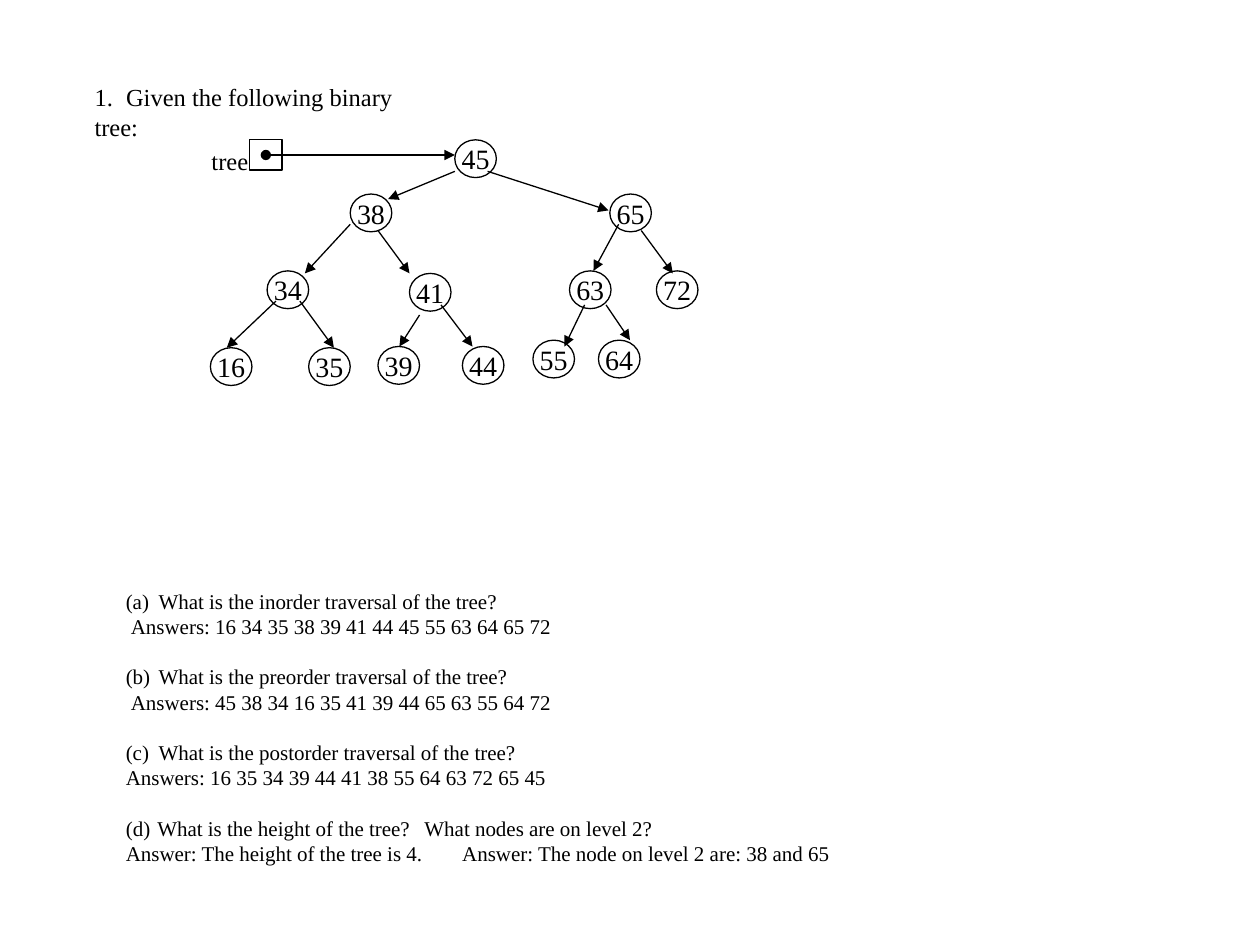
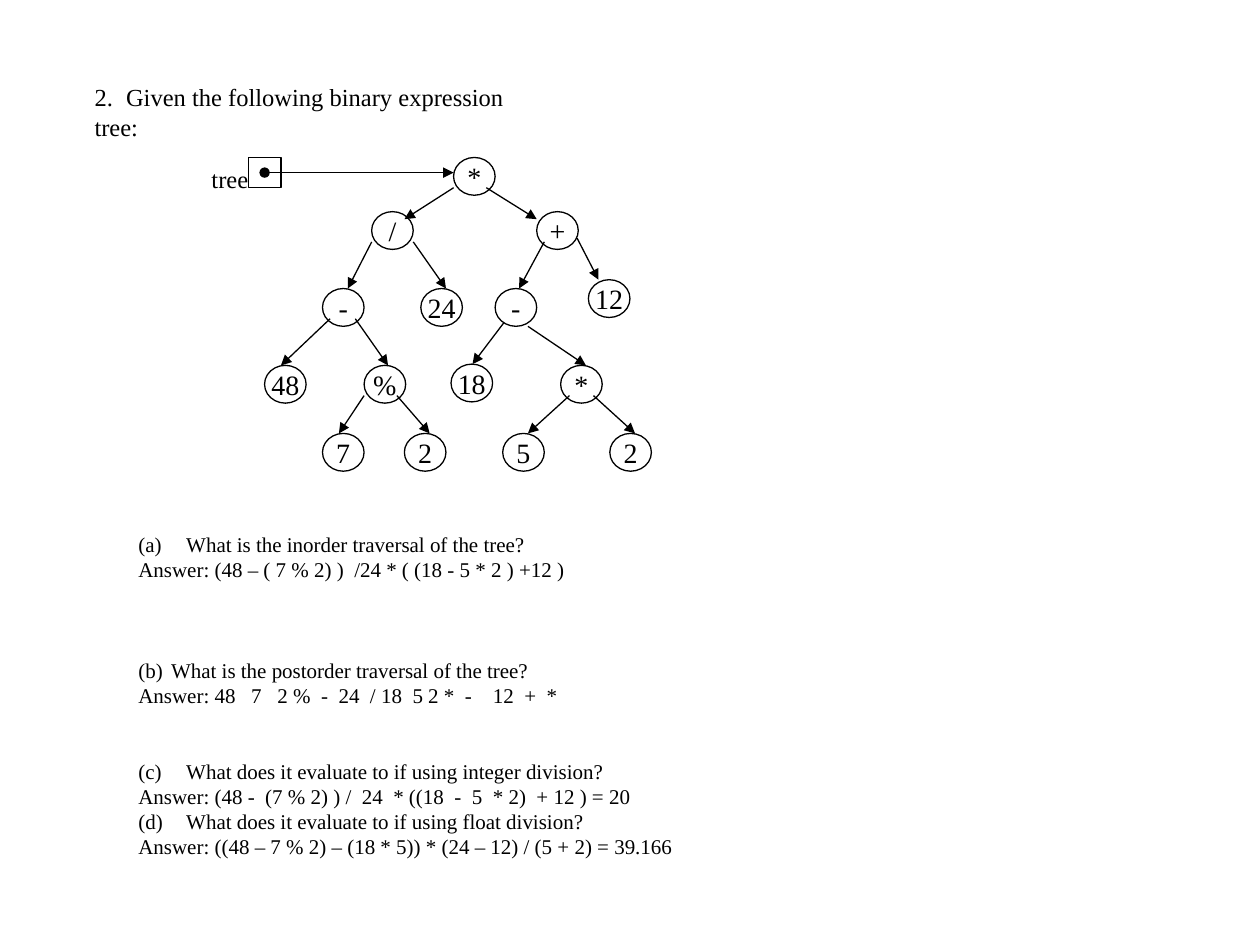
"""Build two slides of binary tree exercises with their answers."""
from lxml import etree
from pptx import Presentation
from pptx.dml.color import RGBColor
from pptx.enum.shapes import MSO_CONNECTOR, MSO_SHAPE
from pptx.enum.text import MSO_ANCHOR, PP_ALIGN
from pptx.oxml.ns import qn
from pptx.util import Inches, Pt

OVAL, RECTANGLE = MSO_SHAPE.OVAL, MSO_SHAPE.RECTANGLE
STRAIGHT = MSO_CONNECTOR.STRAIGHT
TOP, MIDDLE = MSO_ANCHOR.TOP, MSO_ANCHOR.MIDDLE
LEFT, CENTER = PP_ALIGN.LEFT, PP_ALIGN.CENTER

BLACK = RGBColor(0x00, 0x00, 0x00)
FONT = "Times New Roman"
LINE_WIDTH = Pt(0.75)
NODE_WIDTH, NODE_HEIGHT = 0.33, 0.3
BOX_WIDTH, BOX_HEIGHT = 0.26, 0.24
BODY_PITCH, TITLE_PITCH = 14.4, 17.1
TITLE_ONLY = 5


def write(frame, text, size=12, align=LEFT, pitch=None, blank_lines=0,
          left=0, number=None, tabs=()):
    """Add one formatted paragraph, filling the first one if it is empty."""
    paragraph = frame.paragraphs[0]
    if paragraph.runs:
        paragraph = frame.add_paragraph()
    run = paragraph.add_run()
    run.text = text
    run.font.size = Pt(size)
    run.font.name = FONT
    run.font.color.rgb = BLACK
    paragraph.alignment = align
    if pitch:
        paragraph.line_spacing = Pt(pitch)
        paragraph.space_before = Pt(blank_lines * pitch)
    properties = paragraph._p.get_or_add_pPr()
    properties.set("marL", str(Inches(left)))
    if number:
        properties.set("indent", str(-Inches(left)))
        etree.SubElement(properties, qn("a:buAutoNum"),
                         type="alphaLcParenBoth", startAt=str(number))
    if tabs:
        stops = etree.SubElement(properties, qn("a:tabLst"))
        for position in tabs:
            etree.SubElement(stops, qn("a:tab"),
                             pos=str(Inches(position)), algn="l")


def outline(shape):
    """Give a shape or a connector the thin black line."""
    shape.line.color.rgb = BLACK
    shape.line.width = LINE_WIDTH


LABEL = {"tabs": (0.26,)}

# Each node: label, left, top, then the start and end of the arrow into it.
EXERCISES = [
    {
        "title": "1.\tGiven the following binary tree:",
        "title_width": 2.9,
        "pointer": (1.98, 1.11),
        "nodes": [
            ("45", 3.61, 1.11, 2.11, 1.23, 3.61, 1.23),
            ("38", 2.78, 1.54, 3.61, 1.36, 3.08, 1.58),
            ("65", 4.84, 1.54, 3.87, 1.36, 4.83, 1.67),
            ("34", 2.12, 2.15, 2.78, 1.78, 2.42, 2.17),
            ("41", 3.25, 2.17, 3.00, 1.83, 3.25, 2.17),
            ("63", 4.52, 2.15, 4.91, 1.78, 4.71, 2.15),
            ("72", 5.21, 2.15, 5.09, 1.83, 5.34, 2.17),
            ("16", 1.67, 2.76, 2.19, 2.39, 1.80, 2.76),
            ("35", 2.45, 2.76, 2.38, 2.39, 2.65, 2.76),
            ("39", 3.00, 2.75, 3.33, 2.50, 3.17, 2.75),
            ("44", 3.67, 2.75, 3.50, 2.42, 3.75, 2.75),
            ("55", 4.23, 2.70, 4.64, 2.42, 4.48, 2.75),
            ("64", 4.75, 2.70, 4.81, 2.42, 5.00, 2.70),
        ],
        "body": (0.9, 4.62, 8.32, 2.32),
        "answers": [
            ("(a)\tWhat is the inorder traversal of the tree?", LABEL),
            ("Answers: 16 34 35 38 39 41 44 45 55 63 64 65 72", {"left": 0.04}),
            ("(b)\tWhat is the preorder traversal of the tree?",
             {"blank_lines": 1, **LABEL}),
            ("Answers: 45 38 34 16 35 41 39 44 65 63 55 64 72", {"left": 0.04}),
            ("(c)\tWhat is the postorder traversal of the tree?",
             {"blank_lines": 1, **LABEL}),
            ("Answers: 16 35 34 39 44 41 38 55 64 63 72 65 45", {}),
            ("What is the height of the tree?\tWhat nodes are on level 2?",
             {"blank_lines": 1, "left": 0.25, "number": 4, "tabs": (2.37,)}),
            ("Answer: The height of the tree is 4.\t"
             "Answer: The node on level 2 are: 38 and 65", {"tabs": (2.67,)}),
        ],
    },
    {
        "title": "2.\tGiven the following binary expression tree:",
        "title_width": 3.8,
        "pointer": (1.97, 1.25),
        "nodes": [
            ("*", 3.60, 1.25, 2.10, 1.37, 3.60, 1.37),
            ("/", 2.95, 1.68, 3.60, 1.49, 3.21, 1.74),
            ("+", 4.26, 1.68, 3.86, 1.49, 4.26, 1.74),
            ("-", 2.56, 2.29, 2.95, 1.92, 2.76, 2.29),
            ("24", 3.34, 2.29, 3.28, 1.92, 3.54, 2.29),
            ("-", 3.93, 2.29, 4.32, 1.92, 4.12, 2.29),
            ("12", 4.67, 2.22, 4.58, 1.89, 4.75, 2.22),
            ("48", 2.10, 2.90, 2.62, 2.53, 2.23, 2.90),
            ("%", 2.89, 2.90, 2.82, 2.53, 3.08, 2.90),
            ("18", 3.58, 2.89, 4.00, 2.56, 3.75, 2.89),
            ("*", 4.45, 2.90, 4.19, 2.59, 4.65, 2.90),
            ("7", 2.56, 3.44, 2.89, 3.14, 2.69, 3.44),
            ("2", 3.21, 3.44, 3.15, 3.14, 3.41, 3.44),
            ("5", 3.99, 3.44, 4.52, 3.14, 4.19, 3.44),
            ("2", 4.84, 3.44, 4.71, 3.14, 5.04, 3.44),
        ],
        "body": (1, 4.17, 5.5, 3.13),
        "answers": [
            ("What is the inorder traversal of the tree?",
             {"left": 0.38, "number": 1}),
            ("Answer: (48 – ( 7 % 2) )  /24 * ( (18 - 5 * 2 ) +12 )", {}),
            ("(b)\tWhat is the postorder traversal of the tree?",
             {"blank_lines": 3, **LABEL}),
            ("Answer: 48   7   2 %  -  24  / 18  5 2 *  -    12  +  *", {}),
            ("What does it evaluate to if using integer division?",
             {"blank_lines": 2, "left": 0.38, "number": 3}),
            ("Answer: (48 -  (7 % 2) ) /  24  * ((18  -  5  * 2)  + 12 ) = 20",
             {}),
            ("What does it evaluate to if using float division?",
             {"left": 0.38, "number": 4}),
            ("Answer: ((48 – 7 % 2) – (18 * 5)) * (24 – 12) / (5 + 2) = 39.166",
             {}),
        ],
    },
]

presentation = Presentation()
presentation.slide_width = Inches(10)
presentation.slide_height = Inches(7.5)

for exercise in EXERCISES:
    slide = presentation.slides.add_slide(
        presentation.slide_layouts[TITLE_ONLY])

    title = slide.shapes.title
    title.left, title.top = Inches(0.65), Inches(0.6)
    title.width, title.height = Inches(exercise["title_width"]), Inches(0.6)
    title.text_frame.word_wrap = True
    title.text_frame.vertical_anchor = TOP
    write(title.text_frame, exercise["title"], size=14, pitch=TITLE_PITCH,
          tabs=(0.25,))

    body = slide.shapes.add_textbox(*map(Inches, exercise["body"]))
    body.text_frame.word_wrap = True
    for text, text_format in exercise["answers"]:
        write(body.text_frame, text, pitch=BODY_PITCH, **text_format)

    tree = slide.shapes.add_group_shape()
    box_left, box_top = exercise["pointer"]
    box = tree.shapes.add_shape(
        RECTANGLE, Inches(box_left), Inches(box_top),
        Inches(BOX_WIDTH), Inches(BOX_HEIGHT))
    box.shadow.inherit = False
    box.fill.background()
    outline(box)
    pointer_name = tree.shapes.add_textbox(
        Inches(1.58), Inches(box_top), Inches(0.49), Inches(0.33))
    pointer_name.text_frame.word_wrap = False
    write(pointer_name.text_frame, "tree", size=14)

    for index, (label, left, top, *arrow_ends) in enumerate(exercise["nodes"]):
        node = tree.shapes.add_shape(
            OVAL, Inches(left), Inches(top),
            Inches(NODE_WIDTH), Inches(NODE_HEIGHT))
        node.shadow.inherit = False
        node.fill.background()
        outline(node)
        node.text_frame.word_wrap = False
        node.text_frame.vertical_anchor = MIDDLE
        write(node.text_frame, label, size=16, align=CENTER)

        arrow = tree.shapes.add_connector(STRAIGHT, *map(Inches, arrow_ends))
        outline(arrow)
        line = arrow.line._get_or_add_ln()
        if index == 0:
            etree.SubElement(line, qn("a:headEnd"), type="oval")
        etree.SubElement(line, qn("a:tailEnd"), type="triangle")
        etree.SubElement(arrow._element.spPr, qn("a:effectLst"))

presentation.save("out.pptx")
